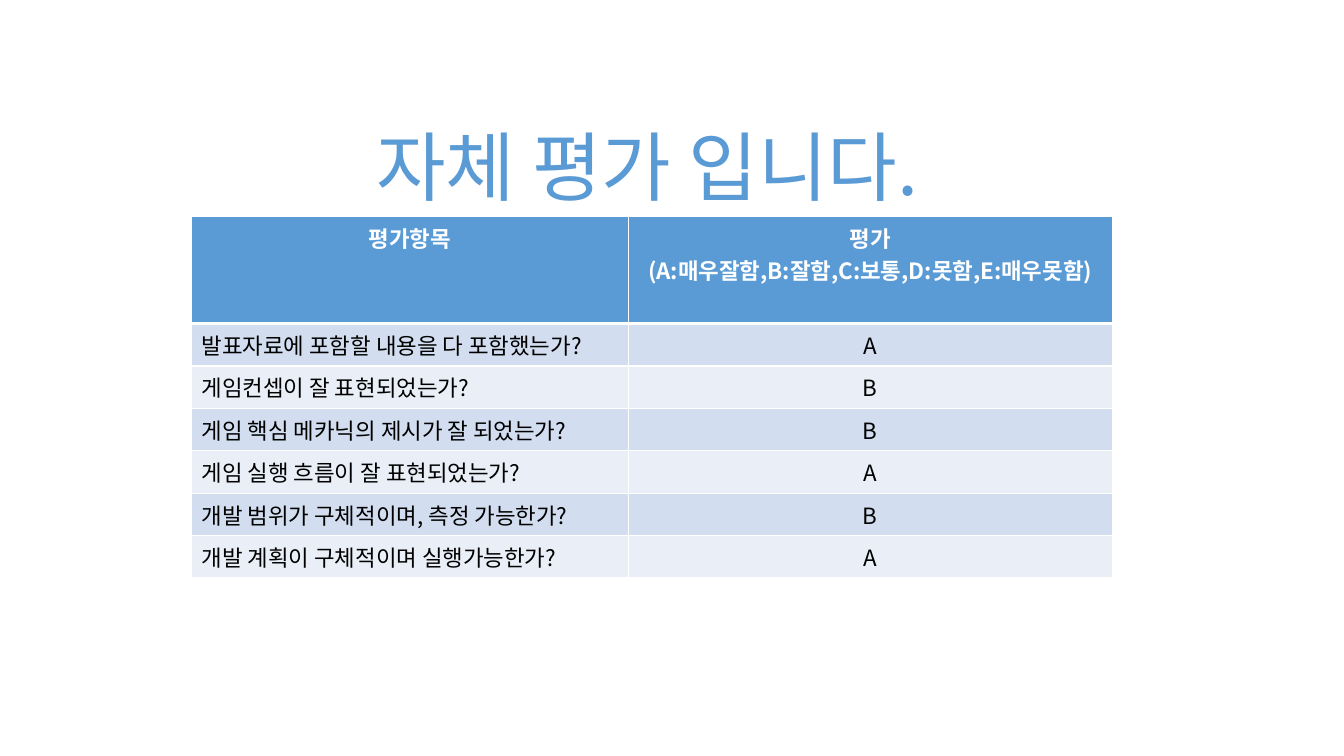
from lxml.etree import SubElement
from pptx import Presentation
from pptx.dml.color import RGBColor
from pptx.enum.text import MSO_AUTO_SIZE as Fit, PP_ALIGN as Align
from pptx.oxml.ns import qn
from pptx.util import Pt

BLUE, WHITE, BLACK = "5B9BD5", "FFFFFF", "000000"
BANDS = ["D2DEEF", "EAEFF7"]
HEADER = ["평가항목", "평가\n(A:매우잘함,B:잘함,C:보통,D:못함,E:매우못함)"]
RATINGS = [
    ["발표자료에 포함할 내용을 다 포함했는가?", "A"],
    ["게임컨셉이 잘 표현되었는가?", "B"],
    ["게임 핵심 메카닉의 제시가 잘 되었는가?", "B"],
    ["게임 실행 흐름이 잘 표현되었는가?", "A"],
    ["개발 범위가 구체적이며, 측정 가능한가?", "B"],
    ["개발 계획이 구체적이며 실행가능한가?", "A"],
]


def rgb(color):
    return RGBColor.from_string(color)


class Deck:
    SCALE = 9144
    FONT = "Noto Sans CJK KR"

    def __init__(self, width, height):
        self.prs = Presentation()
        self.prs.slide_width, self.prs.slide_height = self.px(width, height)
        self.s = self.prs.slides.add_slide(self.prs.slide_layouts[6])

    def px(self, *lengths):
        return [n * self.SCALE for n in lengths]

    def text(self, tf, text, size, color, align, bold=False):
        style = {"name": self.FONT, "size": Pt(size), "bold": bold}
        for i, line in enumerate(text.split("\n")):
            p = tf.add_paragraph() if i else tf.paragraphs[0]
            p.alignment = align
            r = p.add_run()
            r.text = line
            for key, value in style.items():
                setattr(r.font, key, value)
            r.font.color.rgb = rgb(color)
            SubElement(r.font._element, qn("a:ea"), typeface=self.FONT)

    def title(self, text, box, size, color):
        sp = self.s.shapes.add_textbox(*self.px(*box))
        tf = sp.text_frame
        tf.word_wrap = False
        tf.auto_size = Fit.SHAPE_TO_FIT_TEXT
        self.text(tf, text, size, color, Align.CENTER)

    def borders(self, cell, color, widths):
        tcPr = cell._tc.get_or_add_tcPr()
        for i, (side, width) in enumerate(widths.items()):
            ln = SubElement(tcPr, qn(f"a:ln{side}"), w=str(Pt(width)))
            SubElement(SubElement(ln, qn("a:solidFill")), qn("a:srgbClr"), val=color)
            tcPr.insert(i, ln)

    def table(self, rows, left, top, widths, row_height):
        box = self.px(left, top, sum(widths), row_height * len(rows))
        table = self.s.shapes.add_table(len(rows), len(widths), *box).table
        for column, width in zip(table.columns, self.px(*widths)):
            column.width = width
        for i, row in enumerate(rows):
            head = i == 0
            for j, text in enumerate(row):
                cell = table.cell(i, j)
                cell.fill.solid()
                cell.fill.fore_color.rgb = rgb(BLUE if head else BANDS[(i - 1) % 2])
                align = Align.CENTER if head or j else Align.LEFT
                self.text(cell.text_frame, text, 16, WHITE if head else BLACK, align, head)
                self.borders(cell, WHITE, {"L": 1, "R": 1, "T": 3 if i == 1 else 1, "B": 3 if head else 1})


def main():
    deck = Deck(1333, 750)
    deck.table([HEADER] + RATINGS, 190, 215, [433, 480], 41)
    deck.title("자체 평가 입니다.", (332, 114, 620, 101), 54, BLUE)
    deck.prs.save("out.pptx")


if __name__ == "__main__":
    main()
